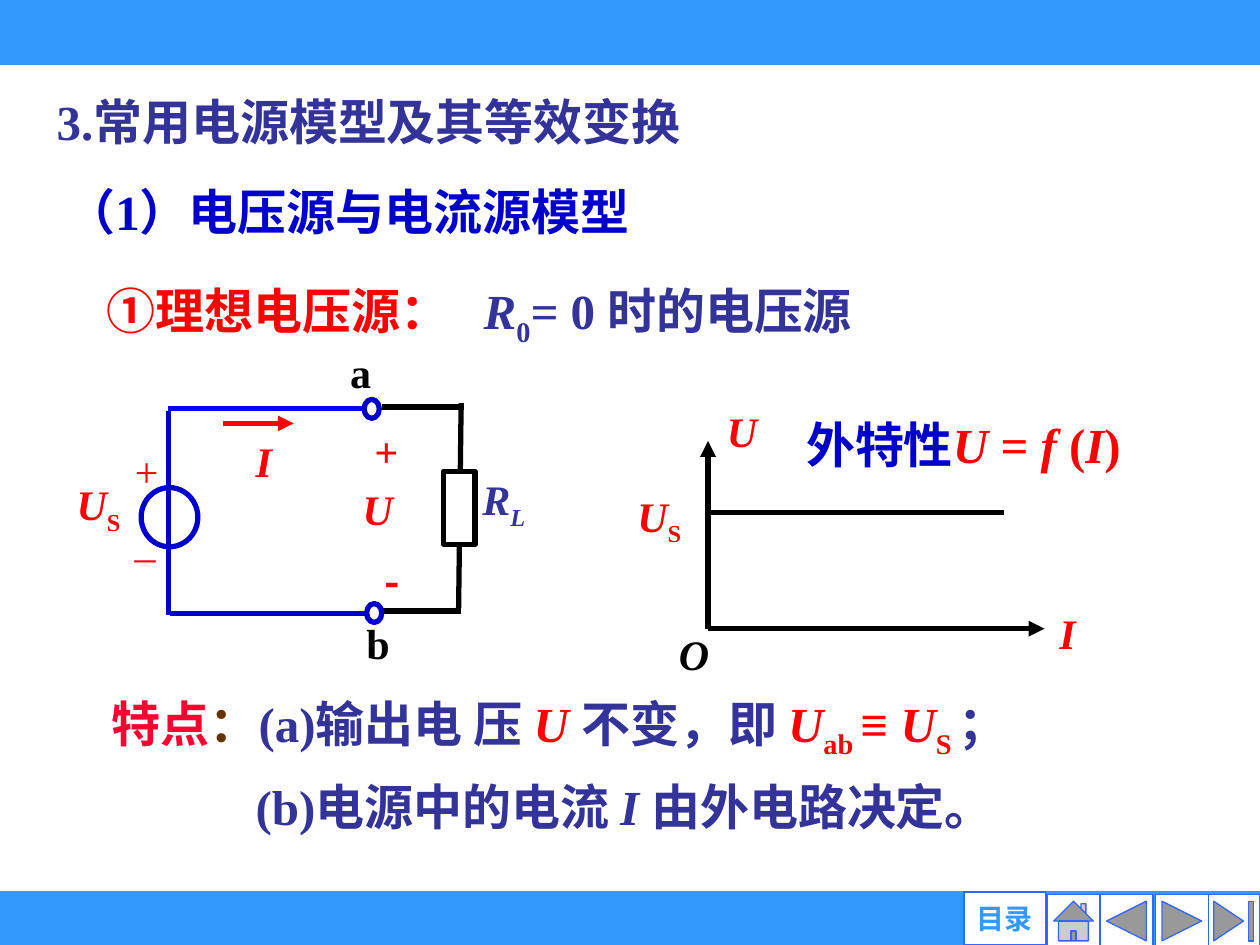
from lxml.etree import SubElement
from pptx import Presentation
from pptx.dml.color import RGBColor
from pptx.enum.shapes import MSO_CONNECTOR, MSO_SHAPE
from pptx.enum.text import MSO_ANCHOR, MSO_AUTO_SIZE, PP_ALIGN
from pptx.oxml.ns import qn
from pptx.util import Inches, Pt

COLORS = {
    "bar": "3399FF", "border": "3366FF", "white": "FFFFFF", "black": "000000",
    "indigo": "333399", "blue": "0000CC", "wire": "0000FF", "red": "FF0000",
    "crimson": "FF0033", "brown": "663300",
}
SERIF = "Times New Roman"

BARS = [(0, -0.01, 10, 0.52), (0, 7.08, 10, 0.42)]
BUTTONS = [
    (MSO_SHAPE.ACTION_BUTTON_END, 9.58),
    (MSO_SHAPE.ACTION_BUTTON_FORWARD_OR_NEXT, 9.17),
    (MSO_SHAPE.ACTION_BUTTON_BACK_OR_PREVIOUS, 8.73),
    (MSO_SHAPE.ACTION_BUTTON_HOME, 8.31),
]
CONTENTS_BUTTON = (7.65, 7.08, 0.65, 0.42)

# Runs are (text, color, style), with "i" for italic and "s" for subscript.
TITLE = ((0.35, 0.68, 6.06, 0.57), [("3.常用电源模型及其等效变换", "indigo", "")])
STATEMENTS = [
    ((0.43, 1.39, 6.14, 0.57), [("（1）电压源与电流源模型", "blue", "")]),
    ((0.75, 2.18, 8.84, 0.57), [
        ("①理想电压源：\t", "red", ""), ("R", "indigo", "i"), ("0", "indigo", "s"),
        ("=", "indigo", "i"), (" 0 时的电压源", "indigo", "")]),
    ((0.79, 5.46, 8.57, 0.52), [
        ("特点", "crimson", ""), ("：", "brown", ""), ("(a)输出电 压 ", "indigo", ""),
        ("U ", "red", "i"), ("不变，即 ", "indigo", ""), ("U", "red", "i"),
        ("ab ", "red", "s"), ("≡ ", "red", ""), ("U", "red", "i"),
        ("S ", "red", "s"), ("；", "indigo", "")]),
    ((1.93, 6.11, 6.08, 0.57), [
        ("(b)电源中的电流 ", "indigo", ""), ("I ", "indigo", "i"),
        ("由外电路决定。", "indigo", "")]),
    ((6.3, 3.24, 3.07, 0.57), [
        ("外特性", "blue", ""), ("U ", "red", "i"), ("= ", "red", ""),
        ("f ", "red", "i"), ("(", "red", ""), ("I", "red", "i"), (")", "red", "")]),
]
SOURCE_VOLTAGE = [("U", "red", "i"), ("S", "red", "s")]
LABELS = [
    (5.29, 4.94, [("O", "black", "i")]),
    (8.31, 4.77, [("I", "red", "i")]),
    (5.67, 3.17, [("U", "red", "i")]),
    (4.96, 3.84, SOURCE_VOLTAGE),
    (1.93, 3.41, [("I", "red", "i")]),
    (0.51, 3.75, SOURCE_VOLTAGE),
    (2.68, 2.7, [("a", "black", "")]),
    (2.81, 4.85, [("b", "black", "")]),
    (2.78, 3.79, [("U", "red", "i")]),
    (3.73, 3.71, [("R", "indigo", "i"), ("L", "indigo", "is")]),
    (2.87, 3.33, [("+", "red", "i")]),
]
POLARITY_SIGNS = [(0.95, 3.49, [("+", "red", "i")]), (0.97, 4.04, [("_", "red", "i")])]
MINUS_TERMINAL = (2.95, 4.36, [("-", "red", "")])

VOLTAGE_SOURCE = (1.12, 3.87, 0.45, 0.47)
TERMINALS = [(2.89, 3.17, 0.12, 0.15), (2.91, 4.79, 0.12, 0.15)]
RESISTOR = (3.52, 3.74, 0.25, 0.58)
LINES = [
    ((5.62, 4.99), (5.62, 3.5), "black", True),
    ((5.62, 4.99), (8.29, 4.99), "black", True),
    ((5.62, 4.07), (7.97, 4.07), "black", False),
    ((1.34, 3.26), (1.34, 4.88), "blue", False),
    ((1.35, 4.87), (2.94, 4.87), "blue", False),
    ((1.33, 3.24), (2.97, 3.24), "wire", False),
    ((3.03, 3.23), (3.68, 3.23), "black", False),
    ((3.03, 4.85), (3.66, 4.85), "black", False),
    ((3.66, 3.2), (3.64, 4.83), "black", False),
    ((1.77, 3.36), (2.33, 3.36), "red", True),
]


def rgb(name):
    return RGBColor.from_string(COLORS[name])


def add_shape(slide, kind, box, fill, line, width):
    shape = slide.shapes.add_shape(kind, *map(Inches, box))
    shape.shadow.inherit = False
    shape.fill.solid()
    shape.fill.fore_color.rgb = rgb(fill)
    shape.line.color.rgb = rgb(line)
    shape.line.width = Pt(width)
    return shape


def add_line(slide, start, end, color, arrow):
    connector = slide.shapes.add_connector(
        MSO_CONNECTOR.STRAIGHT, *map(Inches, start + end))
    connector.line.color.rgb = rgb(color)
    connector.line.width = Pt(3)
    if arrow:
        SubElement(connector.line._get_or_add_ln(), qn("a:tailEnd"), type="triangle")
    SubElement(connector._element.spPr, qn("a:effectLst"))


def write_text(shape, runs, size, font=SERIF, bold=True, align=PP_ALIGN.LEFT, tab=None):
    frame = shape.text_frame
    frame.word_wrap = True
    frame.auto_size = MSO_AUTO_SIZE.NONE
    paragraph = frame.paragraphs[0]
    paragraph.alignment = align
    if tab:
        tabs = SubElement(paragraph._p.get_or_add_pPr(), qn("a:tabLst"))
        SubElement(tabs, qn("a:tab"), pos=str(Inches(tab)), algn="l")
    paragraph.font.name = font
    paragraph.font.size = Pt(size)
    paragraph.font.bold = bold
    for text, color, style in runs:
        run = paragraph.add_run()
        run.text = text
        run.font.color.rgb = rgb(color)
        if "i" in style:
            run.font.italic = True
        if "s" in style:
            run._r.get_or_add_rPr().set("baseline", "-25000")
    return paragraph


def add_label(slide, left, top, runs, **style):
    box = slide.shapes.add_textbox(*map(Inches, (left, top, 0.75, 0.5)))
    write_text(box, runs, 24, **style)


def add_navigation(slide):
    for box in BARS:
        add_shape(slide, MSO_SHAPE.RECTANGLE, box, "bar", "bar", 0.75)
    for kind, left in BUTTONS:
        add_shape(slide, kind, (left, 7.1, 0.42, 0.42), "white", "border", 0.75)
    button = add_shape(slide, MSO_SHAPE.ACTION_BUTTON_CUSTOM, CONTENTS_BUTTON,
                       "white", "border", 0.75)
    frame = button.text_frame
    frame.margin_left = frame.margin_right = frame.margin_top = frame.margin_bottom = 0
    frame.vertical_anchor = MSO_ANCHOR.MIDDLE
    write_text(button, [("目录", "bar", "")], 16, font="Arial", align=PP_ALIGN.CENTER)


def add_statements(slide):
    box, runs = TITLE
    title = slide.shapes.title
    title.left, title.top, title.width, title.height = map(Inches, box)
    title.text_frame.vertical_anchor = MSO_ANCHOR.TOP
    write_text(title, runs, 28)
    for box, runs in STATEMENTS:
        shape = slide.shapes.add_textbox(*map(Inches, box))
        tab = 2.99 if "\t" in runs[0][0] else None
        paragraph = write_text(shape, runs, 28, tab=tab)
        if runs[0][0] == "特点":
            paragraph.line_spacing = 0.9


def add_diagrams(slide):
    add_shape(slide, MSO_SHAPE.OVAL, VOLTAGE_SOURCE, "white", "blue", 3)
    for line in LINES:
        add_line(slide, *line)
    for box in TERMINALS:
        add_shape(slide, MSO_SHAPE.OVAL, box, "white", "blue", 3)
    add_shape(slide, MSO_SHAPE.RECTANGLE, RESISTOR, "white", "black", 3)
    for label in LABELS:
        add_label(slide, *label)
    for sign in POLARITY_SIGNS:
        add_label(slide, *sign, bold=False)
    add_label(slide, *MINUS_TERMINAL, font="Noto Sans CJK SC")


def main():
    """Build the slide on voltage source models."""
    presentation = Presentation()
    presentation.slide_width, presentation.slide_height = Inches(10), Inches(7.5)
    slide = presentation.slides.add_slide(presentation.slide_layouts[5])
    add_navigation(slide)
    add_statements(slide)
    add_diagrams(slide)
    presentation.save("out.pptx")


if __name__ == "__main__":
    main()
